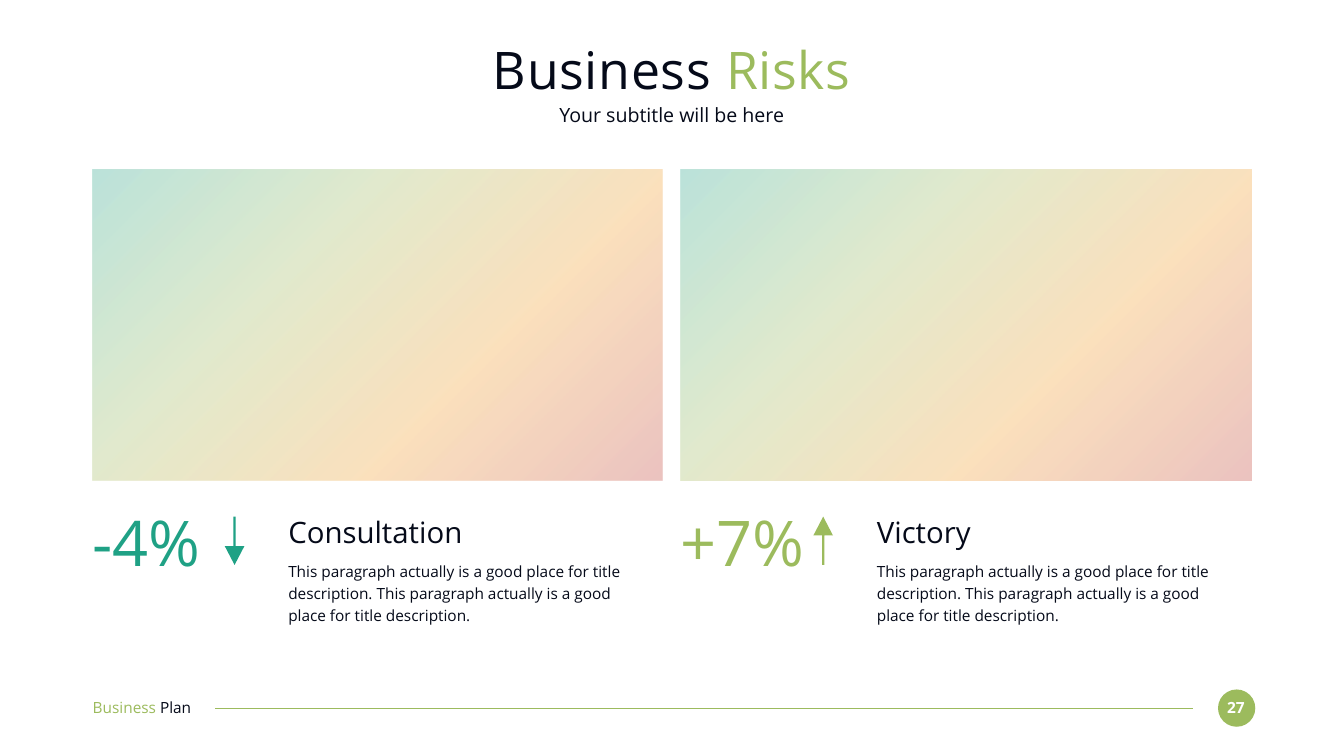
from dataclasses import dataclass

from lxml import etree
from pptx import Presentation
from pptx import util as u
from pptx.dml.color import RGBColor
from pptx.enum import shapes, text
from pptx.oxml import ns

PX = 9144  # EMU per px, 100 px to the inch
FONT = "Open Sans"
COLORS = {
    "ink": "050A19",
    "green": "9CBB5D",
    "teal": "1FA185",
    "orange": "F29B27",
    "red": "BD382F",
    "white": "FFFFFF",
}
PANEL_STOPS = ((0, "teal"), (33, "green"), (66, "orange"), (100, "red"))
PANEL_OPACITY = 30
DESCRIPTION = " ".join(
    ["This paragraph actually is a good place for title description."] * 2
)


@dataclass(frozen=True)
class Box:
    left: int
    top: int
    width: int
    height: int

    def emu(self) -> tuple[int, ...]:
        return tuple(
            u.Emu(n * PX) for n in (self.left, self.top, self.width, self.height)
        )


@dataclass(frozen=True)
class Risk:
    left: int
    panel_width: int
    change: str
    title: str
    color: str
    rising: bool


RISKS = (
    Risk(183, 1131, "-4%", "Consultation", "teal", rising=False),
    Risk(1351, 1133, "+7%", "Victory", "green", rising=True),
)


def rgb(color: str) -> RGBColor:
    return RGBColor.from_string(COLORS[color])


def add_text(slide, box: Box, *parts: tuple[str, str], size: int, bold=False,
             centered=False, line_spacing=None, tracking=0,
             anchor=text.MSO_ANCHOR.MIDDLE) -> None:
    """Write one paragraph made of (words, color) parts."""
    frame = slide.shapes.add_textbox(*box.emu()).text_frame
    frame.margin_left = frame.margin_right = 0
    frame.margin_top = frame.margin_bottom = 0
    frame.word_wrap = True
    frame.vertical_anchor = anchor
    paragraph = frame.paragraphs[0]
    paragraph.alignment = text.PP_ALIGN.CENTER if centered else text.PP_ALIGN.LEFT
    if line_spacing:
        paragraph.line_spacing = line_spacing
    for words, color in parts:
        run = paragraph.add_run()
        run.text = words
        run.font.name = FONT
        run.font.size = u.Pt(size)
        run.font.bold = bold
        run.font.color.rgb = rgb(color)
        if tracking:
            run.font._element.set("spc", str(tracking * 100))


def add_solid(slide, kind: shapes.MSO_SHAPE, box: Box, color: str):
    solid = slide.shapes.add_shape(kind, *box.emu())
    solid.shadow.inherit = False
    solid.fill.solid()
    solid.fill.fore_color.rgb = rgb(color)
    solid.line.fill.background()
    return solid


def add_panel(slide, box: Box) -> None:
    panel = add_solid(slide, shapes.MSO_SHAPE.RECTANGLE, box, "white")
    panel.fill.gradient()
    panel.fill.gradient_angle = 315  # counter-clockwise
    stops = panel._element.spPr.find(".//" + ns.qn("a:gsLst"))
    for stop in list(stops):
        stops.remove(stop)
    for position, color in PANEL_STOPS:
        stop = etree.SubElement(stops, ns.qn("a:gs"), pos=str(position * 1000))
        tint = etree.SubElement(stop, ns.qn("a:srgbClr"), val=COLORS[color])
        etree.SubElement(tint, ns.qn("a:alpha"), val=str(PANEL_OPACITY * 1000))


def add_risk(slide, risk: Risk) -> None:
    left = risk.left
    add_panel(slide, Box(left, 336, risk.panel_width, 618))
    add_text(slide, Box(left, 998, 255, 151), (risk.change, risk.color), size=90)
    arrow = add_solid(slide, shapes.MSO_SHAPE.DOWN_ARROW,
                      Box(left + 263, 1025, 39, 96), risk.color)
    arrow.adjustments[0] = 0.11
    arrow.adjustments[1] = 0.96
    arrow.rotation = 180 if risk.rising else 0
    add_text(slide, Box(left + 389, 1019, 692, 71), (risk.title, "ink"), size=42)
    add_text(slide, Box(left + 389, 1107, 692, 133), (DESCRIPTION, "ink"),
             size=22, line_spacing=1.2, anchor=text.MSO_ANCHOR.TOP)


def add_header(slide) -> None:
    add_text(slide, Box(183, 73, 2300, 127), ("Business ", "ink"), ("Risks", "green"),
             size=74, centered=True, tracking=1)
    add_text(slide, Box(183, 203, 2300, 49), ("Your subtitle will be here", "ink"),
             size=28, centered=True)


def add_footer(slide) -> None:
    add_solid(slide, shapes.MSO_SHAPE.OVAL, Box(2417, 1368, 74, 74), "green")
    add_text(slide, Box(2423, 1385, 59, 37), ("27", "white"),
             size=22, bold=True, centered=True)
    rule = slide.shapes.add_connector(
        shapes.MSO_CONNECTOR.STRAIGHT,
        *(u.Emu(n * PX) for n in (2367, 1405, 427, 1405)),
    )
    rule.line.color.rgb = rgb("green")
    rule.line.width = u.Pt(1.5)
    etree.SubElement(rule._element.spPr, ns.qn("a:effectLst"))
    add_text(slide, Box(184, 1384, 259, 37), ("Business ", "green"), ("Plan", "ink"),
             size=22)


def main() -> None:
    deck = Presentation()
    deck.slide_width = u.Emu(2667 * PX)
    deck.slide_height = u.Emu(1500 * PX)
    slide = deck.slides.add_slide(deck.slide_layouts[6])
    add_footer(slide)
    add_header(slide)
    for risk in RISKS:
        add_risk(slide, risk)
    deck.save("out.pptx")


if __name__ == "__main__":
    main()
